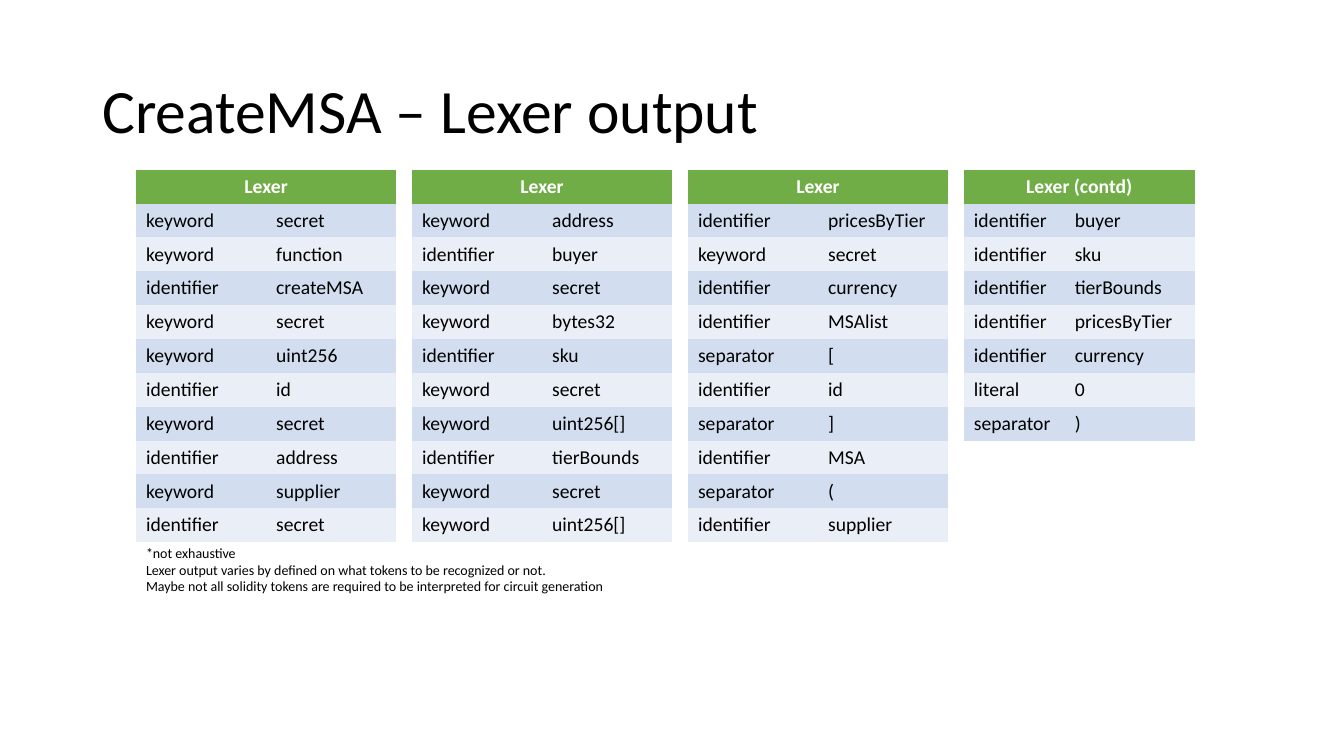
from pptx import Presentation
from pptx.dml.color import RGBColor
from pptx.enum import text
from pptx.oxml import ns
from pptx.util import Pt

THEME = dict(font="Calibri", ink="000000", white="FFFFFF", header="70AD47",
             bands=("D2DEEF", "EAEFF7"), title=44, cell=14, note=10)
NO_GRID = "{2D5ABB26-0587-4C30-8999-92F81FD0307C}"


def write(tf, lines, size, color=THEME["ink"], bold=False, align=text.PP_ALIGN.LEFT,
          spacing=None):
    for i, line in enumerate(lines):
        p = tf.add_paragraph() if i else tf.paragraphs[0]
        p.alignment = align
        p.line_spacing = spacing
        r = p.add_run()
        r.text = line
        r.font.name, r.font.size, r.font.bold = THEME["font"], Pt(size), bold
        r.font.color.rgb = RGBColor.from_string(color)


def paint(cell, color):
    cell.fill.solid()
    cell.fill.fore_color.rgb = RGBColor.from_string(color)


prs = Presentation()
prs.slide_width, prs.slide_height = Pt(960), Pt(540)
s = prs.slides.add_slide(prs.slide_layouts[6])

# Title
tf = s.shapes.add_textbox(Pt(66), Pt(28.75), Pt(828), Pt(104.4)).text_frame
tf.word_wrap = True
tf.vertical_anchor = text.MSO_ANCHOR.MIDDLE
write(tf, ["CreateMSA – Lexer output"], THEME["title"], spacing=0.9)

# Lexer tables: heading, width of the first column, token rows
LEFT, TOP, PITCH, ROW, VALUE_WIDTH = 97.2, 121.2, 197.1, 24.2, 92.9
lexers = [
    ("Lexer", 92.9, [
        ("keyword", "secret"), ("keyword", "function"), ("identifier", "createMSA"),
        ("keyword", "secret"), ("keyword", "uint256"), ("identifier", "id"),
        ("keyword", "secret"), ("identifier", "address"), ("keyword", "supplier"),
        ("identifier", "secret")]),
    ("Lexer", 92.9, [
        ("keyword", "address"), ("identifier", "buyer"), ("keyword", "secret"),
        ("keyword", "bytes32"), ("identifier", "sku"), ("keyword", "secret"),
        ("keyword", "uint256[]"), ("identifier", "tierBounds"), ("keyword", "secret"),
        ("keyword", "uint256[]")]),
    ("Lexer", 92.9, [
        ("identifier", "pricesByTier"), ("keyword", "secret"), ("identifier", "currency"),
        ("identifier", "MSAlist"), ("separator", "["), ("identifier", "id"),
        ("separator", "]"), ("identifier", "MSA"), ("separator", "("),
        ("identifier", "supplier")]),
    ("Lexer (contd)", 72, [
        ("identifier", "buyer"), ("identifier", "sku"), ("identifier", "tierBounds"),
        ("identifier", "pricesByTier"), ("identifier", "currency"), ("literal", "0"),
        ("separator", ")")]),
]
for n, (heading, kind_width, tokens) in enumerate(lexers):
    rows = len(tokens) + 1
    frame = s.shapes.add_table(rows, 2, Pt(LEFT + n * PITCH), Pt(TOP),
                               Pt(kind_width + VALUE_WIDTH), Pt(rows * ROW))
    table = frame.table
    next(frame._element.iter(ns.qn("a:tableStyleId"))).text = NO_GRID
    table.columns[0].width, table.columns[1].width = Pt(kind_width), Pt(VALUE_WIDTH)
    for row in table.rows:
        row.height = Pt(ROW)

    # Merged heading
    head = table.cell(0, 0)
    head.merge(table.cell(0, 1))
    paint(head, THEME["header"])
    write(head.text_frame, [heading], THEME["cell"], color=THEME["white"], bold=True,
          align=text.PP_ALIGN.CENTER)

    # Banded token rows
    for i, token in enumerate(tokens):
        for j, word in enumerate(token):
            cell = table.cell(i + 1, j)
            paint(cell, THEME["bands"][i % 2])
            write(cell.text_frame, [word], THEME["cell"])

# Footnote
tf = s.shapes.add_textbox(Pt(LEFT), Pt(385.2), Pt(347), Pt(43.9)).text_frame
tf.word_wrap = False
tf.auto_size = text.MSO_AUTO_SIZE.SHAPE_TO_FIT_TEXT
write(tf, ["*not exhaustive",
           "Lexer output varies by defined on what tokens to be recognized or not.",
           "Maybe not all solidity tokens are required to be interpreted for circuit generation"],
      THEME["note"])

prs.save("out.pptx")
